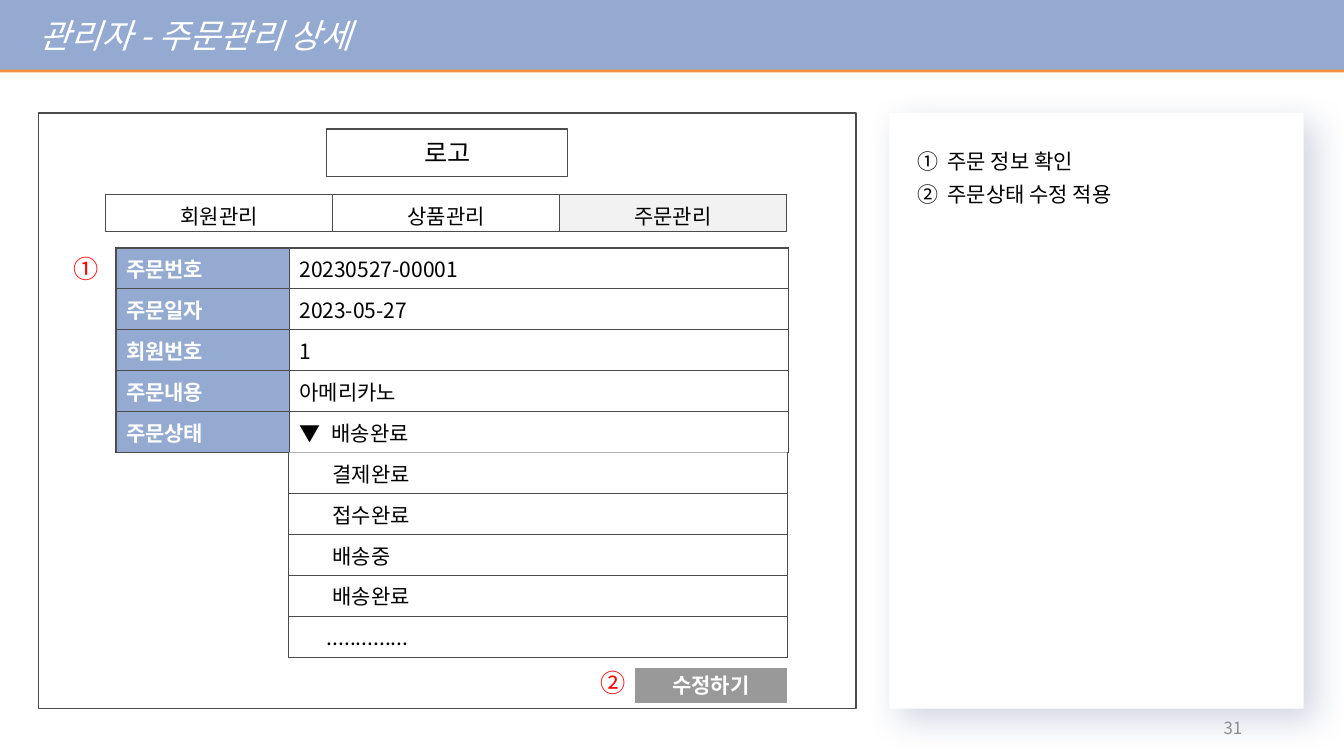
from lxml.etree import SubElement
from pptx import Presentation
from pptx.dml.color import RGBColor
from pptx.enum.shapes import MSO_SHAPE as Shape
from pptx.enum.text import MSO_ANCHOR as Anchor, PP_ALIGN as Align
from pptx.oxml import parse_xml
from pptx.oxml.ns import nsdecls, qn
from pptx.util import Inches, Pt

FONT = "Noto Sans CJK KR"
BLUE, DARK, WHITE, BLACK, RED = "94AAD1", "4C4C4C", "FFFFFF", "000000", "FF0000"
ROW = 0.406
hex_color = RGBColor.from_string


def write(para, text, color=BLACK, align=Align.LEFT, **font):
    para.alignment = align
    span = para.add_run()
    span.text = text
    for name, value in {"name": FONT, "size": Pt(15), **font}.items():
        setattr(span.font, name, value)
    span.font.color.rgb = hex_color(color)
    SubElement(span.font._element, qn("a:ea"), typeface=FONT)


def add_grid(left, top, widths, height, rows, **margins):
    """Add a bordered table; each cell is (text, fill, font format)."""
    frame = page.shapes.add_table(len(rows), len(widths), Inches(left), Inches(top),
                                  Inches(sum(widths)), Inches(height * len(rows)))
    table = frame.table
    for column, width in zip(table.columns, widths):
        column.width = Inches(width)
    for r, row in enumerate(rows):
        table.rows[r].height = Inches(height)
        for c, (text, fill, style) in enumerate(row):
            cell = table.cell(r, c)
            cell.fill.solid()
            cell.fill.fore_color.rgb = hex_color(fill)
            cell.vertical_anchor = Anchor.MIDDLE
            for name, value in margins.items():
                setattr(cell, name, Inches(value))
            write(cell.text_frame.paragraphs[0], text, **style)
            for i, side in enumerate(("lnL", "lnR", "lnT", "lnB")):
                cell._tc.get_or_add_tcPr().insert(i, parse_xml(
                    f'<a:{side} {nsdecls("a")} w="12700"><a:solidFill>'
                    f'<a:srgbClr val="{DARK}"/></a:solidFill></a:{side}>'))
    return table


deck = Presentation()
deck.slide_width, deck.slide_height = Inches(13.33), Inches(7.5)
page = deck.slides.add_slide(deck.slide_layouts[6])

# Panels, title bar and buttons: place, fill, line, shadow, text, format
center = {"align": Align.CENTER}
boxes = [
    ((8.82, 1.12, 4.11, 5.91), WHITE, None, ("1E2E6C", 20, 25, 11, 45), None, {}),
    ((0, 0, 13.33, 0.69), BLUE, None, ("FE913E", 100, 0, 2, 90), "관리자 - 주문관리 상세",
     {"size": Pt(24), "color": WHITE, "italic": True}),
    ((0.38, 1.12, 8.11, 5.91), None, DARK, None, None, {}),
    ((3.24, 1.28, 2.39, 0.47), None, DARK, None, "로고", {"size": Pt(18), **center}),
    ((6.29, 6.62, 1.52, 0.36), "999999", WHITE, None, "수정하기",
     {"color": WHITE, "bold": True, **center}),
]
for place, fill, line, shadow, text, style in boxes:
    box = page.shapes.add_shape(Shape.RECTANGLE, *map(Inches, place))
    box.shadow.inherit = False
    if fill:
        box.fill.solid()
        box.fill.fore_color.rgb = hex_color(fill)
    else:
        box.fill.background()
    if line:
        box.line.color.rgb = hex_color(line)
        box.line.width = Pt(1)
    else:
        box.line.fill.background()
    if shadow:
        color, alpha, blur, distance, angle = shadow
        box._element.spPr.find(qn("a:effectLst")).append(parse_xml(
            f'<a:outerShdw {nsdecls("a")} blurRad="{Pt(blur)}" dist="{Pt(distance)}" '
            f'dir="{angle * 60000}" algn="tl" rotWithShape="0"><a:srgbClr val="{color}">'
            f'<a:alpha val="{alpha * 1000}"/></a:srgbClr></a:outerShdw>'))
    if text:
        box.text_frame.vertical_anchor = Anchor.MIDDLE
        if "align" not in style:
            box.text_frame.margin_left = Inches(0.39)
        write(box.text_frame.paragraphs[0], text, **style)

# Menu tabs
tabs = [("회원관리", WHITE), ("상품관리", WHITE), ("주문관리", "F2F2F2")]
add_grid(1.05, 1.93, [2.25] * 3, 0.37, [[(*tab, center) for tab in tabs]],
         margin_top=0.05, margin_bottom=0.01)

# Order details
details = [("주문번호", "20230527-00001"), ("주문일자", "2023-05-27"), ("회원번호", "1"),
           ("주문내용", "아메리카노"), ("주문상태", "▼\t배송완료")]
label_style = {"color": WHITE, "bold": True}
orders = add_grid(1.15, 2.46, [1.72, 4.95], ROW,
                  [[(label, BLUE, label_style), (value, WHITE, {})] for label, value in details])
status = orders.cell(4, 1).text_frame.paragraphs[0]._p.get_or_add_pPr()
stops = SubElement(status, qn("a:tabLst"))
SubElement(stops, qn("a:tab"), pos=str(Inches(0.32)), algn="l")

# Status choices below the open field
choices = ["결제완료", "접수완료", "배송중", "배송완료", ".............."]
dropdown = add_grid(2.86, 4.49, [4.95], ROW, [[(choice, WHITE, {})] for choice in choices],
                    margin_left=0.44)
dropdown.cell(4, 0).margin_left = Inches(0.38)
top_border = dropdown.cell(0, 0)._tc.tcPr.find(qn("a:lnT"))
top_border.find(".//" + qn("a:srgbClr")).set("val", "B2B2B2")

# Numbered notes
notes = page.shapes.add_textbox(*map(Inches, (9, 1.35, 3.78, 1.07))).text_frame
notes.word_wrap = True
for i, note in enumerate(["주문 정보 확인", "주문상태 수정 적용"]):
    para = notes.add_paragraph() if i else notes.paragraphs[0]
    write(para, note, align=Align.JUSTIFY)
    para.line_spacing = 1.3
    props = para._p.get_or_add_pPr()
    props.set("marL", str(Inches(0.3)))
    props.set("indent", str(Inches(-0.3)))
    bullet_color = SubElement(props, qn("a:buClr"))
    SubElement(bullet_color, qn("a:srgbClr"), val=BLACK)
    SubElement(props, qn("a:buFont"), typeface=FONT)
    SubElement(props, qn("a:buAutoNum"), type="circleNumDbPlain")

# Markers and page number
for place, text, anchor, style in [
    ((0.63, 2.46, 0.44, 0.4), "①", Anchor.TOP, {"size": Pt(18), "color": RED}),
    ((5.86, 6.57, 0.44, 0.4), "②", Anchor.TOP, {"size": Pt(18), "color": RED}),
    ((9.42, 7.02, 3, 0.4), "31", Anchor.MIDDLE,
     {"size": Pt(12), "color": "8C8C8C", "align": Align.RIGHT}),
]:
    label = page.shapes.add_textbox(*map(Inches, place)).text_frame
    label.word_wrap = anchor == Anchor.MIDDLE
    label.vertical_anchor = anchor
    write(label.paragraphs[0], text, **style)

deck.save("out.pptx")
